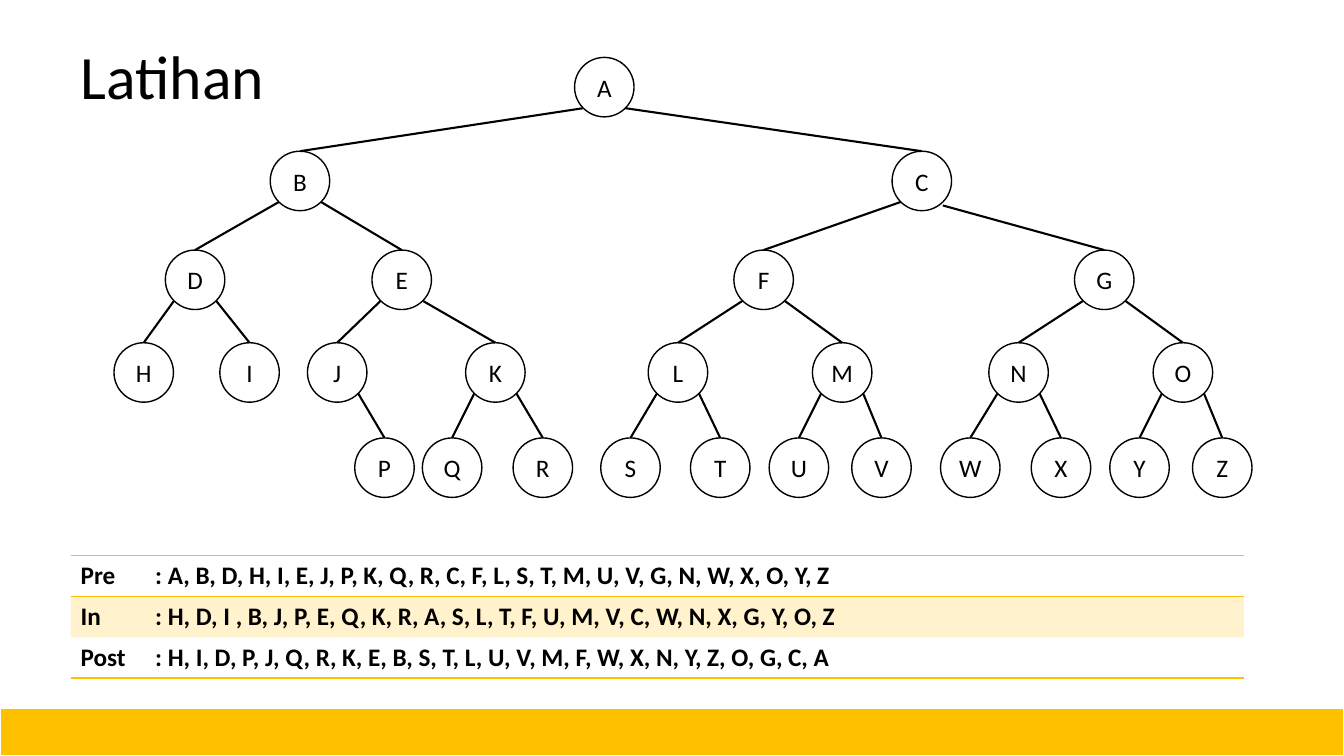
from dataclasses import dataclass
import math

import lxml.etree
import pptx
import pptx.dml.color
import pptx.enum.dml
import pptx.enum.shapes
import pptx.enum.text
import pptx.oxml.ns
import pptx.shapes.autoshape
import pptx.shapes.group
import pptx.table
import pptx.text.text
import pptx.util

Pt = pptx.util.Pt
qn = pptx.oxml.ns.qn


@dataclass(frozen=True)
class Theme:
    font: str = "Calibri"
    ink: str = "000000"
    paper: str = "FFFFFF"
    accent: str = "FFC000"
    title_size: float = 44
    body_size: float = 18
    outline: float = 1
    edge: float = 1.5


@dataclass(frozen=True)
class Node:
    letter: str
    left: float
    parent: str = ""
    joint_drop: float = 0  # extra depth where the edge leaves the parent


@dataclass(frozen=True)
class Traversal:
    order: str
    sequence: str
    rule_above: bool = False
    rule_below: bool = False
    shaded: bool = False


THEME = Theme()
DIAMETER = 42.5
LEVEL_TOPS = (41, 108, 178.6, 244.8, 312.8)

TREE = (
    Node("A", 410.4),
    Node("B", 193, "A"), Node("C", 637.2, "A"),
    Node("D", 118.1, "B"), Node("E", 265.7, "B"),
    Node("F", 524.2, "C"), Node("G", 767.5, "C", joint_drop=2.5),
    Node("H", 81.4, "D"), Node("I", 157, "D"),
    Node("J", 219.6, "E"), Node("K", 332.6, "E"),
    Node("L", 463, "F"), Node("M", 580.3, "F"),
    Node("N", 706.3, "G"), Node("O", 823.7, "G"),
    Node("P", 253.4, "J"),
    Node("Q", 301.7, "K"), Node("R", 366.5, "K"),
    Node("S", 429.1, "L"), Node("T", 493.2, "L"),
    Node("U", 549.4, "M"), Node("V", 608.4, "M"),
    Node("W", 671.8, "N"), Node("X", 736.6, "N"),
    Node("Y", 792.7, "O"), Node("Z", 851.8, "O"),
)

TRAVERSALS = (
    Traversal("Pre", ": A, B, D, H, I, E, J, P, K, Q, R, C, F, L, S, T, M, U, V, G, N, W, X, O, Y, Z",
              rule_above=True, rule_below=True),
    Traversal("In", ": H, D, I , B, J, P, E, Q, K, R, A, S, L, T, F, U, M, V, C, W, N, X, G, Y, O, Z",
              rule_above=True, shaded=True),
    Traversal("Post", ": H, I, D, P, J, Q, R, K, E, B, S, T, L, U, V, M, F, W, X, N, Y, Z, O, G, C, A",
              rule_below=True),
)


def rgb(value: str) -> pptx.dml.color.RGBColor:
    return pptx.dml.color.RGBColor.from_string(value)


def write(frame: pptx.text.text.TextFrame, text: str, size: float, bold: bool = False) -> None:
    frame.text = text
    font = frame.paragraphs[0].runs[0].font
    font.name, font.size, font.bold = THEME.font, Pt(size), bold
    font.color.rgb = rgb(THEME.ink)


def paint(shape: pptx.shapes.autoshape.Shape, fill: str, line: str, width: float) -> None:
    shape.shadow.inherit = False
    shape.fill.solid()
    shape.fill.fore_color.rgb = rgb(fill)
    shape.line.color.rgb = rgb(line)
    shape.line.width = Pt(width)


def draw_node(tree: pptx.shapes.group.GroupShape, node: Node, top: float) -> pptx.shapes.autoshape.Shape:
    circle = tree.shapes.add_shape(pptx.enum.shapes.MSO_SHAPE.OVAL,
                                   Pt(node.left), Pt(top), Pt(DIAMETER), Pt(DIAMETER))
    paint(circle, THEME.paper, THEME.ink, THEME.outline)
    frame = circle.text_frame
    frame.margin_left = frame.margin_right = 0
    frame.vertical_anchor = pptx.enum.text.MSO_ANCHOR.MIDDLE
    write(frame, node.letter, THEME.body_size)
    frame.paragraphs[0].alignment = pptx.enum.text.PP_ALIGN.CENTER
    return circle


def draw_edge(tree: pptx.shapes.group.GroupShape, child: Node, circle: pptx.shapes.autoshape.Shape,
              child_top: float, parent: Node, parent_top: float) -> None:
    """Join the child's top to the parent's lower left or lower right."""
    radius = DIAMETER / 2
    reach = radius * math.sqrt(0.5)
    side = math.copysign(reach, child.left - parent.left)
    edge = tree.shapes.add_connector(
        pptx.enum.shapes.MSO_CONNECTOR.STRAIGHT,
        Pt(child.left + radius), Pt(child_top),
        Pt(parent.left + radius + side), Pt(parent_top + radius + reach + child.joint_drop))
    edge.begin_connect(circle, 0)
    edge.line.color.rgb = rgb(THEME.ink)
    edge.line.width = Pt(THEME.edge)
    lxml.etree.SubElement(edge._element.spPr, qn("a:effectLst"))


def format_cell(cell: pptx.table._Cell, row: Traversal) -> None:
    properties = cell._tc.get_or_add_tcPr()
    if row.shaded:
        cell.fill.solid()
        cell.fill.fore_color.rgb = rgb(THEME.accent)
        for color in properties.iter(qn("a:srgbClr")):
            lxml.etree.SubElement(color, qn("a:alpha"), val="20000")
    else:
        cell.fill.background()
    # Border lines come before the fill
    sides = (("L", False), ("R", False), ("T", row.rule_above), ("B", row.rule_below))
    for position, (side, ruled) in enumerate(sides):
        border = properties.makeelement(qn(f"a:ln{side}"), {"w": str(int(Pt(THEME.outline)))})
        properties.insert(position, border)
        if ruled:
            solid = lxml.etree.SubElement(border, qn("a:solidFill"))
            lxml.etree.SubElement(solid, qn("a:srgbClr"), val=THEME.accent)
        else:
            lxml.etree.SubElement(border, qn("a:noFill"))


def main() -> None:
    deck = pptx.Presentation()
    deck.slide_width, deck.slide_height = Pt(960), Pt(540)
    slide = deck.slides.add_slide(deck.slide_layouts[5])

    # Title
    title = slide.shapes.title
    title.left, title.top, title.width, title.height = Pt(50.4), Pt(4.3), Pt(828), Pt(104.4)
    title.text_frame.vertical_anchor = pptx.enum.text.MSO_ANCHOR.MIDDLE
    write(title.text_frame, "Latihan", THEME.title_size)
    title.text_frame.paragraphs[0].alignment = pptx.enum.text.PP_ALIGN.LEFT
    title.text_frame.paragraphs[0].line_spacing = 0.9

    # Binary tree
    tree = slide.shapes.add_group_shape()
    nodes: dict[str, Node] = {}
    levels: dict[str, int] = {}
    for node in TREE:
        level = levels[node.parent] + 1 if node.parent else 0
        nodes[node.letter], levels[node.letter] = node, level
        circle = draw_node(tree, node, LEVEL_TOPS[level])
        if node.parent:
            draw_edge(tree, node, circle, LEVEL_TOPS[level], nodes[node.parent], LEVEL_TOPS[level - 1])

    # Footer band
    band = slide.shapes.add_shape(pptx.enum.shapes.MSO_SHAPE.RECTANGLE, 0, Pt(505.4), Pt(960), Pt(34.6))
    paint(band, THEME.accent, THEME.paper, THEME.edge)

    # Traversal table
    row_height = 29.2
    answers = slide.shapes.add_table(len(TRAVERSALS), 2, Pt(50.4), Pt(396.7), Pt(838.1),
                                     Pt(row_height * len(TRAVERSALS))).table
    answers.first_row = answers.horz_banding = False
    for column, width in zip(answers.columns, (53.3, 784.8)):
        column.width = Pt(width)
    for table_row, traversal in zip(answers.rows, TRAVERSALS):
        table_row.height = Pt(row_height)
        for cell, text in zip(table_row.cells, (traversal.order, traversal.sequence)):
            write(cell.text_frame, text, THEME.body_size, bold=True)
            format_cell(cell, traversal)

    deck.save("out.pptx")


if __name__ == "__main__":
    main()
